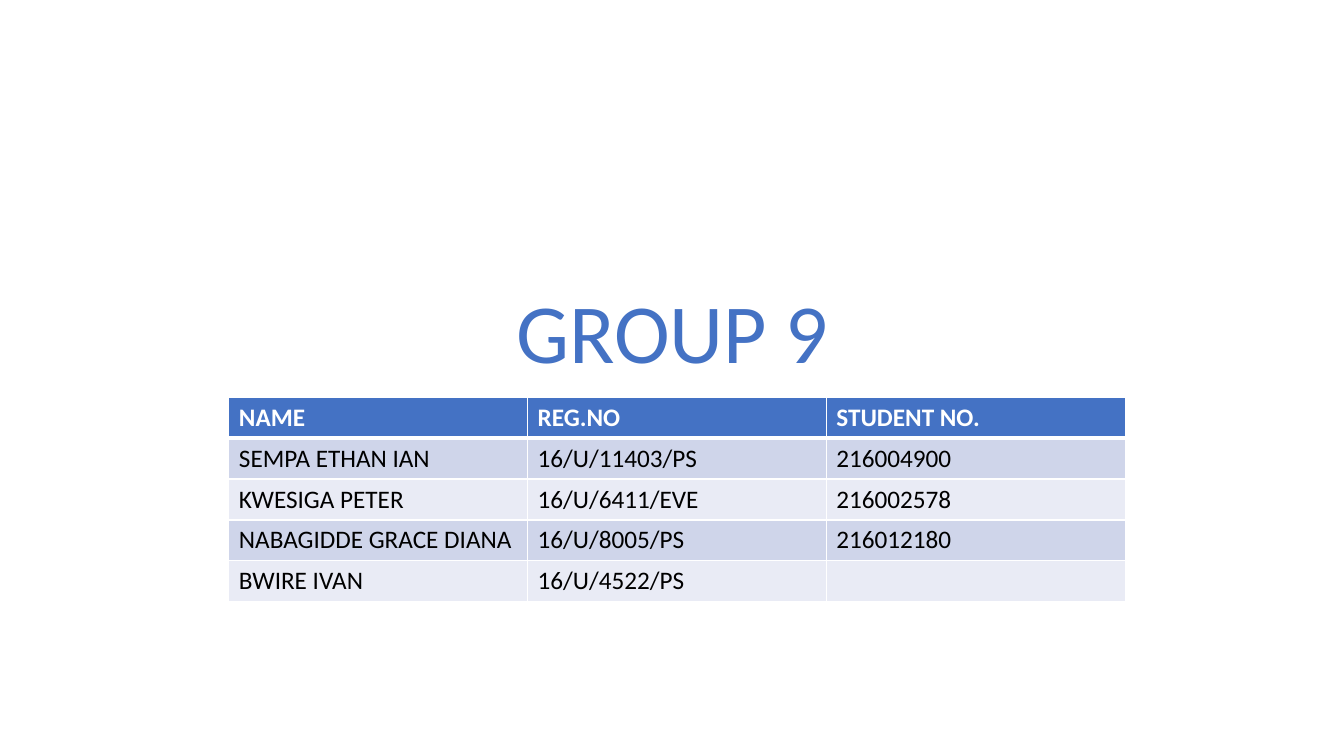
import pptx
import pptx.dml.color
import pptx.enum.text
import pptx.util
from lxml import etree
from pptx.dml.color import RGBColor
from pptx.util import Inches

BLUE = RGBColor(0x44, 0x72, 0xC4)
WHITE = RGBColor(0xFF, 0xFF, 0xFF)
BLACK = RGBColor(0x00, 0x00, 0x00)
ODD_BAND = RGBColor(0xCF, 0xD5, 0xEA)
EVEN_BAND = RGBColor(0xE9, 0xEB, 0xF5)
FONT = "Calibri"

MEMBERS = [
    ("NAME", "REG.NO", "STUDENT NO."),
    ("SEMPA ETHAN IAN", "16/U/11403/PS", "216004900"),
    ("KWESIGA PETER", "16/U/6411/EVE", "216002578"),
    ("NABAGIDDE GRACE DIANA", "16/U/8005/PS", "216012180"),
    ("BWIRE IVAN", "16/U/4522/PS", ""),
]


def add_run(paragraph, text, size, color, bold=False):
    run = paragraph.add_run()
    run.text = text
    run.font.name = FONT
    run.font.size = pptx.util.Pt(size)
    run.font.color.rgb = color
    run.font.bold = bold


def add_border(cell, side, points):
    """Draw a white line on one side (L, R, T or B); call before filling the cell."""
    namespace = "{http://schemas.openxmlformats.org/drawingml/2006/main}"
    line = etree.SubElement(cell._tc.get_or_add_tcPr(), f"{namespace}ln{side}",
                            w=str(pptx.util.Pt(points)))
    fill = etree.SubElement(line, f"{namespace}solidFill")
    etree.SubElement(fill, f"{namespace}srgbClr", val=str(WHITE))


deck = pptx.Presentation()
deck.slide_width = Inches(13.33)
deck.slide_height = Inches(7.5)
slide = deck.slides.add_slide(deck.slide_layouts[6])

heading = slide.shapes.add_textbox(Inches(1.67), Inches(1.23), Inches(10), Inches(2.61)).text_frame
heading.word_wrap = True
heading.vertical_anchor = pptx.enum.text.MSO_ANCHOR.BOTTOM
heading_line = heading.paragraphs[0]
heading_line.alignment = pptx.enum.text.PP_ALIGN.CENTER
heading_line.line_spacing = 0.9
add_run(heading_line, "GROUP 9", 60, BLUE)

members = slide.shapes.add_table(len(MEMBERS), len(MEMBERS[0]), Inches(2.27), Inches(3.94),
                                 Inches(8.89), Inches(2.03)).table

for row, member in enumerate(MEMBERS):
    is_header = row == 0
    if is_header:
        band = BLUE
    else:
        band = ODD_BAND if row % 2 else EVEN_BAND
    for column, value in enumerate(member):
        cell = members.cell(row, column)
        for side in "LRTB":
            under_header = (row, side) in ((0, "B"), (1, "T"))
            add_border(cell, side, 3 if under_header else 1)
        cell.fill.solid()
        cell.fill.fore_color.rgb = band
        if value:
            add_run(cell.text_frame.paragraphs[0], value, 18,
                    WHITE if is_header else BLACK, bold=is_header)

deck.save("out.pptx")
